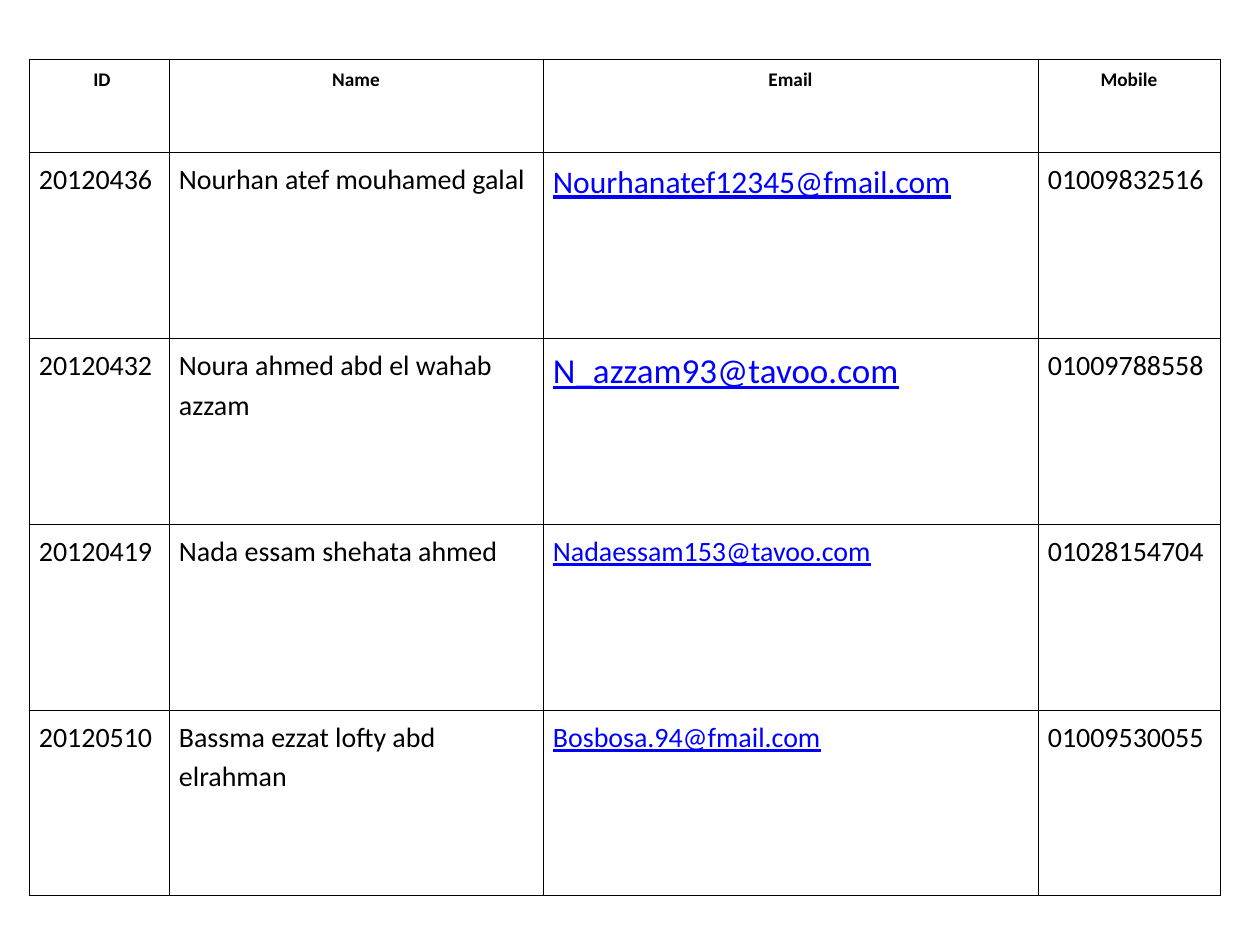
from dataclasses import dataclass

from lxml.etree import SubElement
from pptx import Presentation
from pptx.dml.color import RGBColor as Rgb
from pptx.enum.text import PP_ALIGN as Align
from pptx.oxml.ns import qn
from pptx.util import Emu, Pt

SCALE = 914400 / 126


def px(n: int) -> Emu:
    return Emu(round(n * SCALE))


@dataclass(frozen=True)
class Theme:
    font: str = "Calibri"
    ink: str = "000000"
    link: str = "0000FF"
    paper: str = "FFFFFF"
    head: int = 11
    body: int = 16
    border: float = 0.45


@dataclass(frozen=True)
class Member:
    id: str
    name: str
    email: str
    mobile: str
    size: int = 16  # type size of the email


THEME = Theme()
HEADS = ("ID", "Name", "Email", "Mobile")
COLS = (140, 374, 495, 182)
HEAD_H, ROW_H = 93, 186
MEMBERS = (
    Member("20120436", "Nourhan atef mouhamed galal",
           "Nourhanatef12345@fmail.com", "01009832516", 18),
    Member("20120432", "Noura ahmed abd el wahab azzam",
           "N_azzam93@tavoo.com", "01009788558", 20),
    Member("20120419", "Nada essam shehata ahmed",
           "Nadaessam153@tavoo.com", "01028154704"),
    Member("20120510", "Bassma ezzat lofty abd elrahman",
           "Bosbosa.94@fmail.com", "01009530055"),
)


def frame(cell) -> None:
    """Give the cell its four borders, margins and plain fill."""
    props = cell._tc.get_or_add_tcPr()
    for side in ("lnL", "lnR", "lnT", "lnB"):
        line = SubElement(props, qn(f"a:{side}"), w=str(Pt(THEME.border)))
        fill = SubElement(line, qn("a:solidFill"))
        SubElement(fill, qn("a:srgbClr"), val=THEME.ink)
    cell.fill.solid()
    cell.fill.fore_color.rgb = Rgb.from_string(THEME.paper)
    cell.margin_left = cell.margin_right = px(10)
    cell.margin_top = cell.margin_bottom = px(6)


def write(cell, text: str, size: int, head: bool = False,
          link: bool = False) -> None:
    frame(cell)
    para = cell.text_frame.paragraphs[0]
    para.alignment = Align.CENTER if head else Align.LEFT
    para.line_spacing = 1.15
    para.space_after = Pt(10)
    run = para.add_run()
    run.text = text
    font = run.font
    font.name, font.size = THEME.font, Pt(size)
    font.bold, font.underline = head, link
    font.color.rgb = Rgb.from_string(THEME.link if link else THEME.ink)


def fill_row(table, row: int, who: Member) -> None:
    write(table.cell(row, 0), who.id, THEME.body)
    write(table.cell(row, 1), who.name, THEME.body)
    write(table.cell(row, 2), who.email, who.size, link=True)
    write(table.cell(row, 3), who.mobile, THEME.body)


def main() -> None:
    deck = Presentation()
    deck.slide_width, deck.slide_height = px(1260), px(945)
    slide = deck.slides.add_slide(deck.slide_layouts[6])
    rows = (HEAD_H,) + (ROW_H,) * len(MEMBERS)
    table = slide.shapes.add_table(
        len(rows), len(COLS), px(29), px(59),
        px(sum(COLS)), px(sum(rows))).table
    table.first_row = table.horz_banding = False
    for col, width in zip(table.columns, COLS):
        col.width = px(width)
    for row, height in zip(table.rows, rows):
        row.height = px(height)

    for col, text in enumerate(HEADS):
        write(table.cell(0, col), text, THEME.head, head=True)
    first = table.cell(0, 0).text_frame.paragraphs[0]
    first._p.get_or_add_pPr().set("marL", str(px(6)))
    for row, who in enumerate(MEMBERS, 1):
        fill_row(table, row, who)
    deck.save("out.pptx")


if __name__ == "__main__":
    main()
